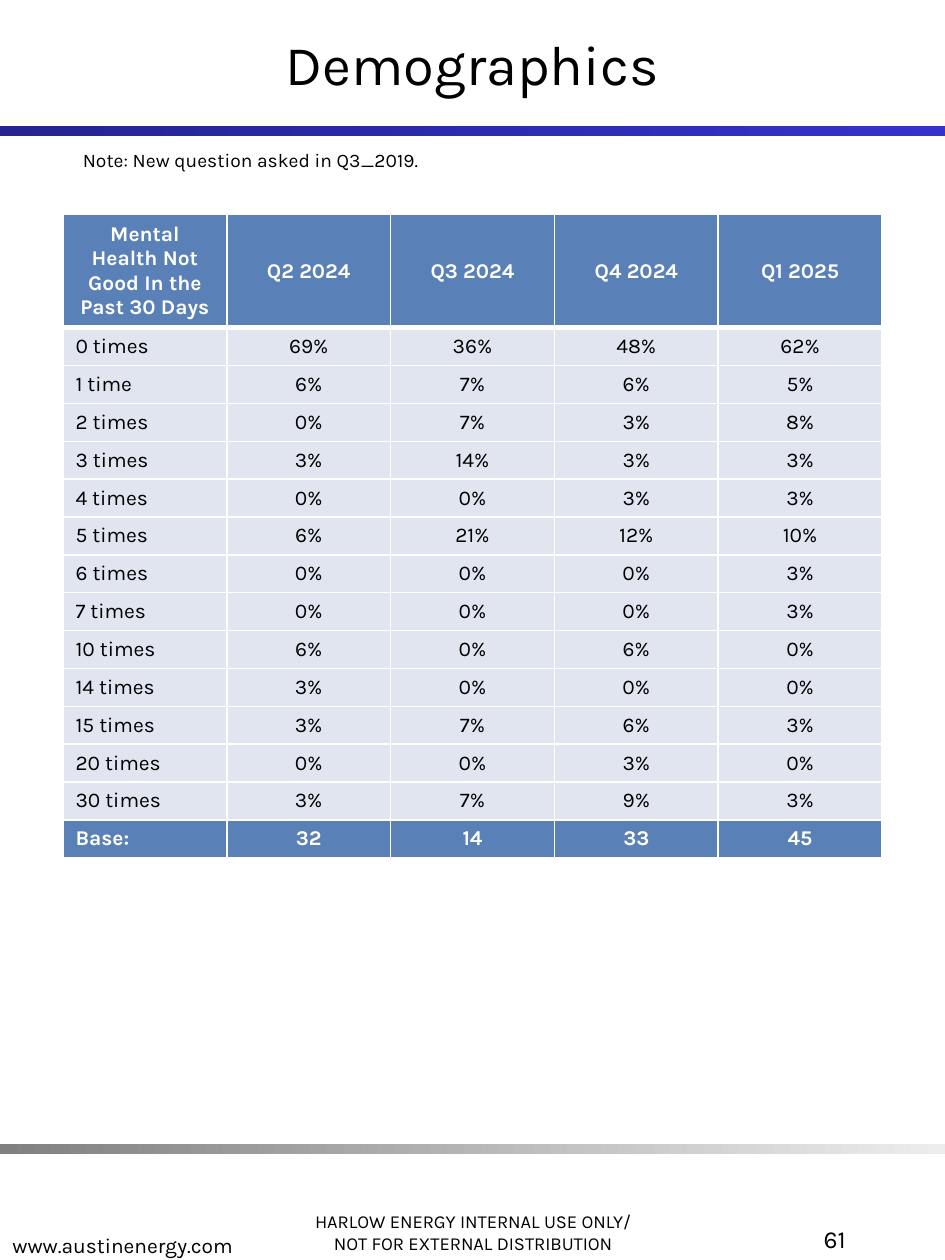
"""Build the Demographics slide with its quarterly table."""
from lxml.etree import SubElement
from pptx import Presentation
from pptx.dml.color import RGBColor
from pptx.enum.shapes import MSO_SHAPE
from pptx.enum.text import MSO_ANCHOR, MSO_AUTO_SIZE, PP_ALIGN
from pptx.oxml.ns import qn
from pptx.util import Cm, Pt

HUES = {
    "black": "000000", "white": "FFFFFF", "head": "5A80B8", "body": "E0E5F0",
    "navy": "242492", "blue": "3333CC", "grey": "808080", "pale": "EDEDED",
}
LEFT, MID, RIGHT = PP_ALIGN.LEFT, PP_ALIGN.CENTER, PP_ALIGN.RIGHT
TOP, CENTER, LOW = MSO_ANCHOR.TOP, MSO_ANCHOR.MIDDLE, MSO_ANCHOR.BOTTOM


def hue(name):
    return RGBColor.from_string(HUES[name])


def write(frame, lines, size, align, color="black", bold=False):
    for i, line in enumerate(lines):
        para = frame.add_paragraph() if i else frame.paragraphs[0]
        para.alignment = align
        run = para.add_run()
        run.text = line
        run.font.name = "Karla"
        run.font.size = Pt(size)
        run.font.bold = bold
        run.font.color.rgb = hue(color)


deck = Presentation()
deck.slide_width, deck.slide_height = Cm(19.05), Cm(25.4)
slide = deck.slides.add_slide(deck.slide_layouts[6])

for top, ends in [(2.54, ("navy", "blue")), (23.06, ("grey", "pale"))]:
    bar = slide.shapes.add_shape(MSO_SHAPE.RECTANGLE, 0, Cm(top), deck.slide_width, Cm(0.2))
    bar.shadow.inherit = False
    bar.line.fill.background()
    bar.fill.gradient()
    bar.fill.gradient_angle = 0
    for stop, spot, name in zip(bar.fill.gradient_stops, (0, 1), ends):
        stop.position = spot
        stop.color.rgb = hue(name)

texts = [
    ((5.49, 23.7, 8.1, 1.7), ["HARLOW ENERGY INTERNAL USE ONLY/", "NOT FOR EXTERNAL DISTRIBUTION"], 10.5, MID, LOW),
    ((0, 23.77, 8.1, 1.7), ["www.austinenergy.com"], 12, LEFT, LOW),
    ((0, 0, 19.05, 2.54), ["Demographics"], 32, MID, CENTER),
    ((13.34, 24.56, 3.96, 1.7), ["61"], 14, RIGHT, TOP),
    ((1.42, 2.87, 16.36, 0.74), ["Note: New question asked in Q3_2019."], 11, LEFT, TOP),
]
for place, lines, size, align, anchor in texts:
    box = slide.shapes.add_textbox(*map(Cm, place))
    frame = box.text_frame
    frame.word_wrap = True
    frame.vertical_anchor = anchor
    write(frame, lines, size, align)
frame.auto_size = MSO_AUTO_SIZE.SHAPE_TO_FIT_TEXT

rows = [
    ("Mental Health Not Good In the Past 30 Days", "Q2 2024", "Q3 2024", "Q4 2024", "Q1 2025"),
    ("0 times", "69%", "36%", "48%", "62%"),
    ("1 time", "6%", "7%", "6%", "5%"),
    ("2 times", "0%", "7%", "3%", "8%"),
    ("3 times", "3%", "14%", "3%", "3%"),
    ("4 times", "0%", "0%", "3%", "3%"),
    ("5 times", "6%", "21%", "12%", "10%"),
    ("6 times", "0%", "0%", "0%", "3%"),
    ("7 times", "0%", "0%", "0%", "3%"),
    ("10 times", "6%", "0%", "6%", "0%"),
    ("14 times", "3%", "0%", "0%", "0%"),
    ("15 times", "3%", "7%", "6%", "3%"),
    ("20 times", "0%", "0%", "3%", "0%"),
    ("30 times", "3%", "7%", "9%", "3%"),
    ("Base:", "32", "14", "33", "45"),
]
last = len(rows) - 1
grid = slide.shapes.add_table(
    len(rows), len(rows[0]), Cm(1.27), Cm(4.32), Cm(16.51), Cm(0.43 * len(rows))
).table
for r, row in enumerate(rows):
    strong = r in (0, last)
    for c, word in enumerate(row):
        cell = grid.cell(r, c)
        cell.vertical_anchor = CENTER
        align = LEFT if r and not c else MID
        write(cell.text_frame, [word], 12, align, "white" if strong else "black", strong)
        props = cell._tc.get_or_add_tcPr()
        for side in "LRTB":
            thick = (r, side) in ((0, "B"), (1, "T"))
            edge = SubElement(props, qn(f"a:ln{side}"), w=str(Pt(3 if thick else 1)))
            paint = SubElement(edge, qn("a:solidFill"))
            SubElement(paint, qn("a:srgbClr"), val=HUES["white"])
        cell.fill.solid()
        cell.fill.fore_color.rgb = hue("head" if strong else "body")

deck.save("out.pptx")
